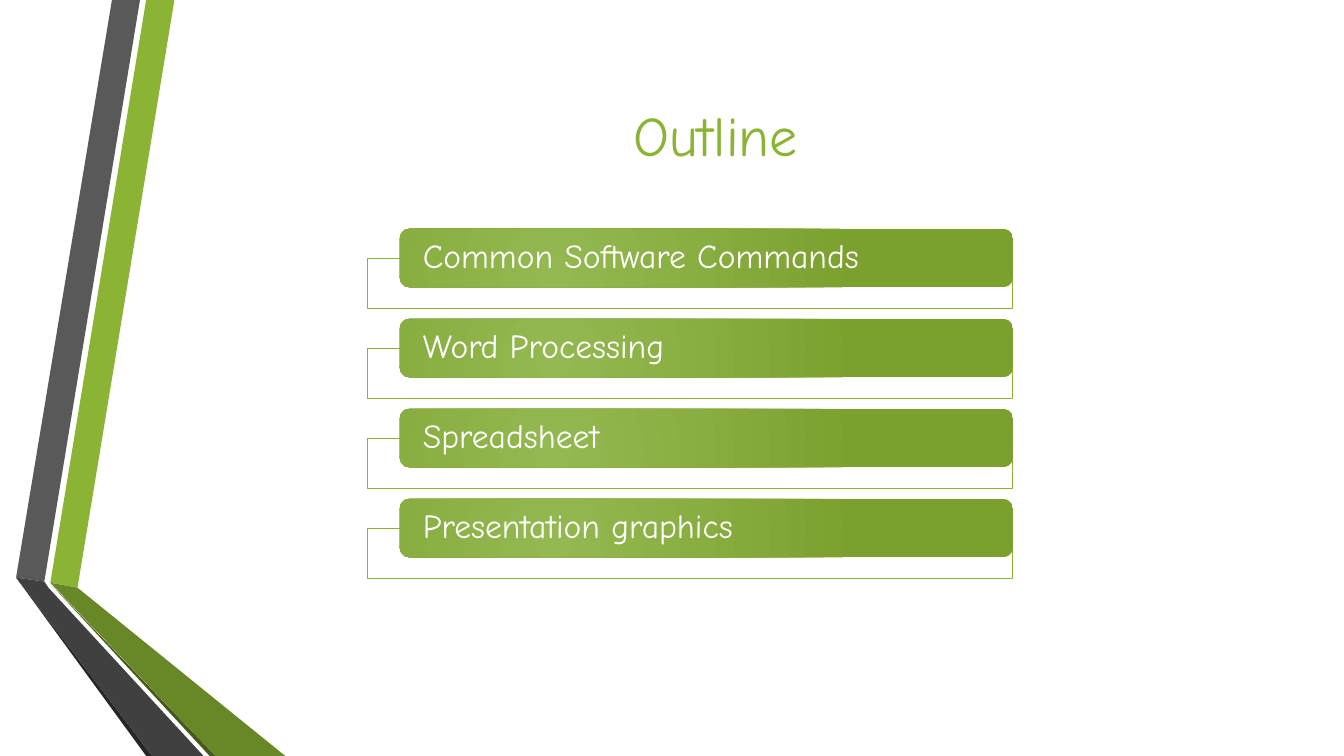
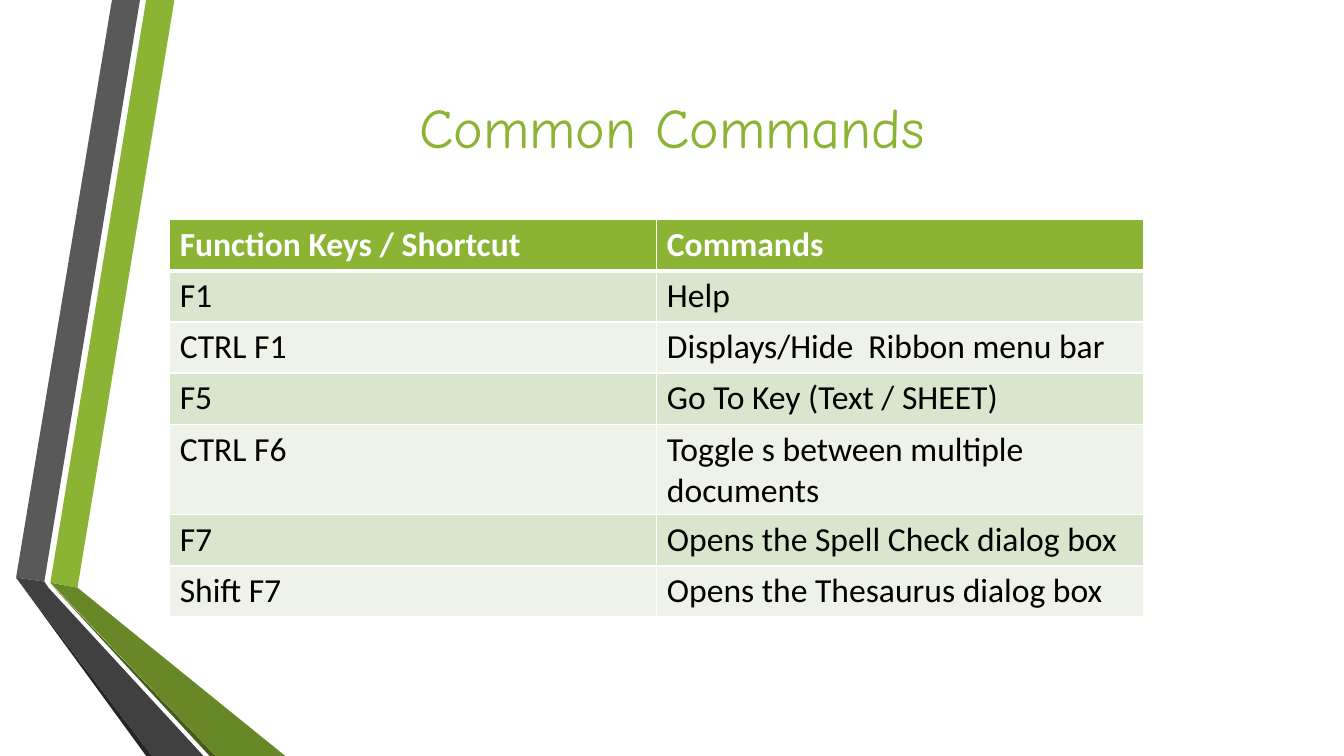
from lxml import etree
from pptx import Presentation
from pptx.dml.color import RGBColor
from pptx.enum import shapes, text
from pptx.oxml import ns
from pptx.util import Pt

GREEN, WHITE, BLACK = "8BB434", "FFFFFF", "000000"
HAND, SANS = "Comic Neue", "Calibri"

BANDS = [
    (GREEN, [(36, 416.2), (55.4, 419.8), (124.6, 0), (104.4, 0)]),
    ("595959", [(100, 0), (80, 0), (11.5, 412.6), (31.7, 415.4)]),
    ("262626", [(11.5, 412.6), (104.4, 540), (108.7, 540)]),
    ("465A1A", [(36, 416.9), (149.8, 540), (154.1, 540)]),
    ("688727", [(36, 416.2), (154.1, 540), (203.8, 540), (55.4, 419.8)]),
    ("404040", [(145.4, 540), (34.6, 419.8), (31.7, 415.4), (11.5, 412.6), (108.7, 540)]),
]

TOPICS = ["Common Software Commands", "Word Processing", "Spreadsheet", "Presentation graphics"]

KEYS = [
    ("Function Keys / Shortcut", "Commands"),
    ("F1", "Help"),
    ("CTRL F1", "Displays/Hide  Ribbon menu bar"),
    ("F5", "Go To Key (Text / SHEET)"),
    ("CTRL F6", "Toggle s between multiple documents"),
    ("F7", "Opens the Spell Check dialog box"),
    ("Shift F7", "Opens the Thesaurus dialog box"),
]


def rgb(code):
    return RGBColor.from_string(code)


def paint(shape, fill, line=None):
    shape.shadow.inherit = False
    shape.fill.solid()
    shape.fill.fore_color.rgb = rgb(fill)
    if line:
        shape.line.color.rgb = rgb(line)
        shape.line.width = Pt(0.75)
    else:
        shape.line.fill.background()


def write(frame, words, size, face, color, align=text.PP_ALIGN.LEFT, bold=False):
    para = frame.paragraphs[0]
    para.text = words
    para.alignment = align
    font = para.font
    font.size, font.name, font.bold = Pt(size), face, bold
    font.color.rgb = rgb(color)
    return para


def start(deck, title, left, top, width, height):
    slide = deck.slides.add_slide(deck.slide_layouts[6])
    for color, points in BANDS:
        points = [(Pt(x), Pt(y)) for x, y in points]
        outline = slide.shapes.build_freeform(*points[0])
        outline.add_line_segments(points[1:], close=True)
        paint(outline.convert_to_shape(), color)
    box = slide.shapes.add_textbox(Pt(left), Pt(top), Pt(width), Pt(height))
    frame = box.text_frame
    frame.word_wrap = True
    frame.vertical_anchor = text.MSO_ANCHOR.MIDDLE
    write(frame, title, 40, HAND, GREEN, text.PP_ALIGN.CENTER)
    return slide


def glow(shape, inner, outer):
    shape.fill.gradient()
    for stop, color in zip(shape.fill.gradient_stops, (inner, outer)):
        stop.color.rgb = rgb(color)
    grad = shape.fill._xPr.find(ns.qn("a:gradFill"))
    grad.remove(grad.find(ns.qn("a:lin")))
    ring = etree.SubElement(grad, ns.qn("a:path"), path="circle")
    etree.SubElement(ring, ns.qn("a:fillToRect"), l="50000", t="100000", r="100000", b="50000")


def topic(slide, words, top):
    add = slide.shapes.add_shape
    frame = add(shapes.MSO_SHAPE.RECTANGLE, Pt(262.8), Pt(top + 21), Pt(460.8), Pt(36))
    paint(frame, WHITE, GREEN)
    bar = add(shapes.MSO_SHAPE.ROUNDED_RECTANGLE, Pt(285.6), Pt(top), Pt(438), Pt(41.8))
    paint(bar, GREEN)
    glow(bar, "94B951", "7CA02E")
    body = bar.text_frame
    body.margin_left = body.margin_right = Pt(14.4)
    body.margin_top = body.margin_bottom = 0
    body.vertical_anchor = text.MSO_ANCHOR.MIDDLE
    write(body, words, 24, HAND, WHITE).line_spacing = 0.9


def border(cell, widths):
    props = cell._tc.get_or_add_tcPr()
    for spot, (side, width) in enumerate(zip("LRTB", widths)):
        line = etree.Element(ns.qn("a:ln" + side), w=str(Pt(width)))
        fill = etree.SubElement(line, ns.qn("a:solidFill"))
        etree.SubElement(fill, ns.qn("a:srgbClr"), val=WHITE)
        props.insert(spot, line)


def grid(slide, rows):
    table = slide.shapes.add_table(
        len(rows), 2, Pt(121.2), Pt(157), Pt(696), Pt(36.5 * len(rows))).table
    for r, row in enumerate(rows):
        head = r == 0
        fill = GREEN if head else ("EEF2E8", "DAE5CE")[r % 2]
        for c, words in enumerate(row):
            cell = table.cell(r, c)
            cell.fill.solid()
            cell.fill.fore_color.rgb = rgb(fill)
            border(cell, (1, 1, 3 if r == 1 else 1, 3 if head else 1))
            write(cell.text_frame, words, 24, SANS, WHITE if head else BLACK, bold=head)


def main():
    deck = Presentation()
    deck.slide_width, deck.slide_height = Pt(960), Pt(540)
    slide = start(deck, "Outline", 116.6, 54, 789, 83.5)
    for i, words in enumerate(TOPICS):
        topic(slide, words, 163.4 + 64.3 * i)
    slide = start(deck, "Common Commands", 156, 45, 648, 90)
    grid(slide, KEYS)
    deck.save("out.pptx")


if __name__ == "__main__":
    main()
